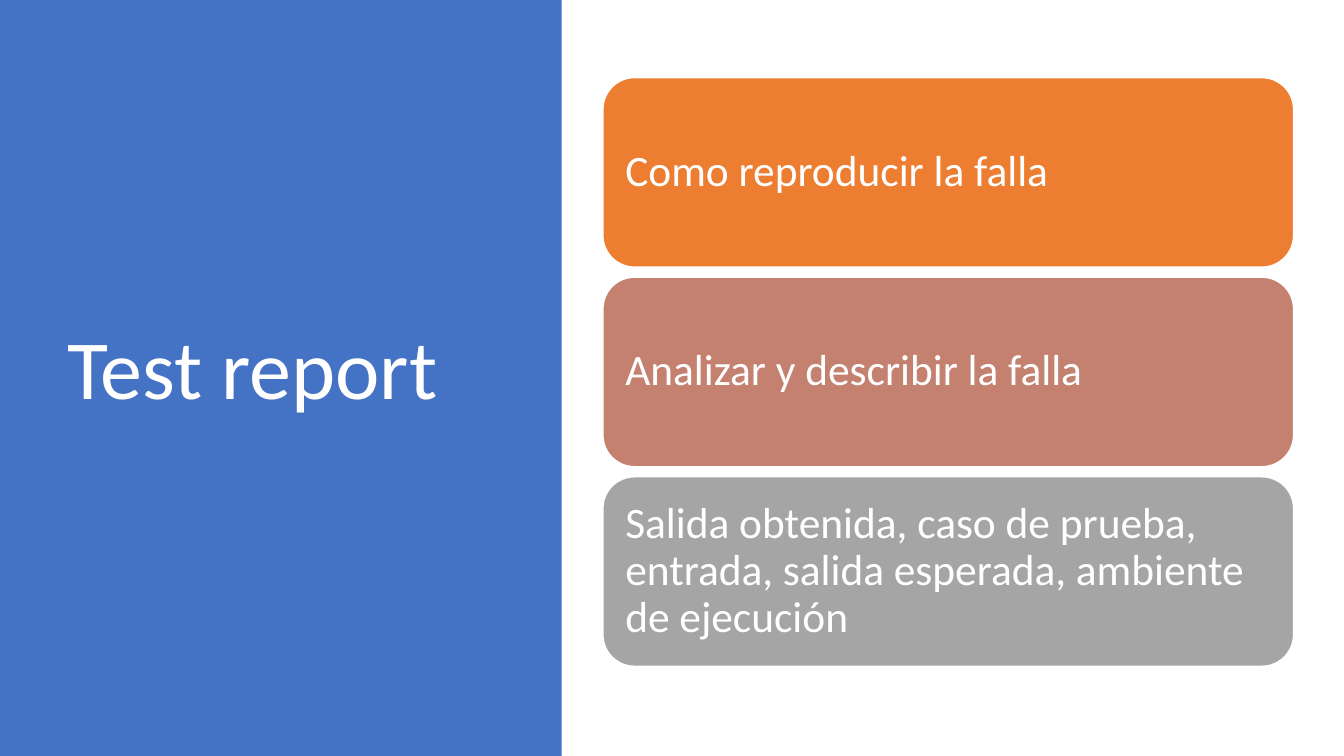
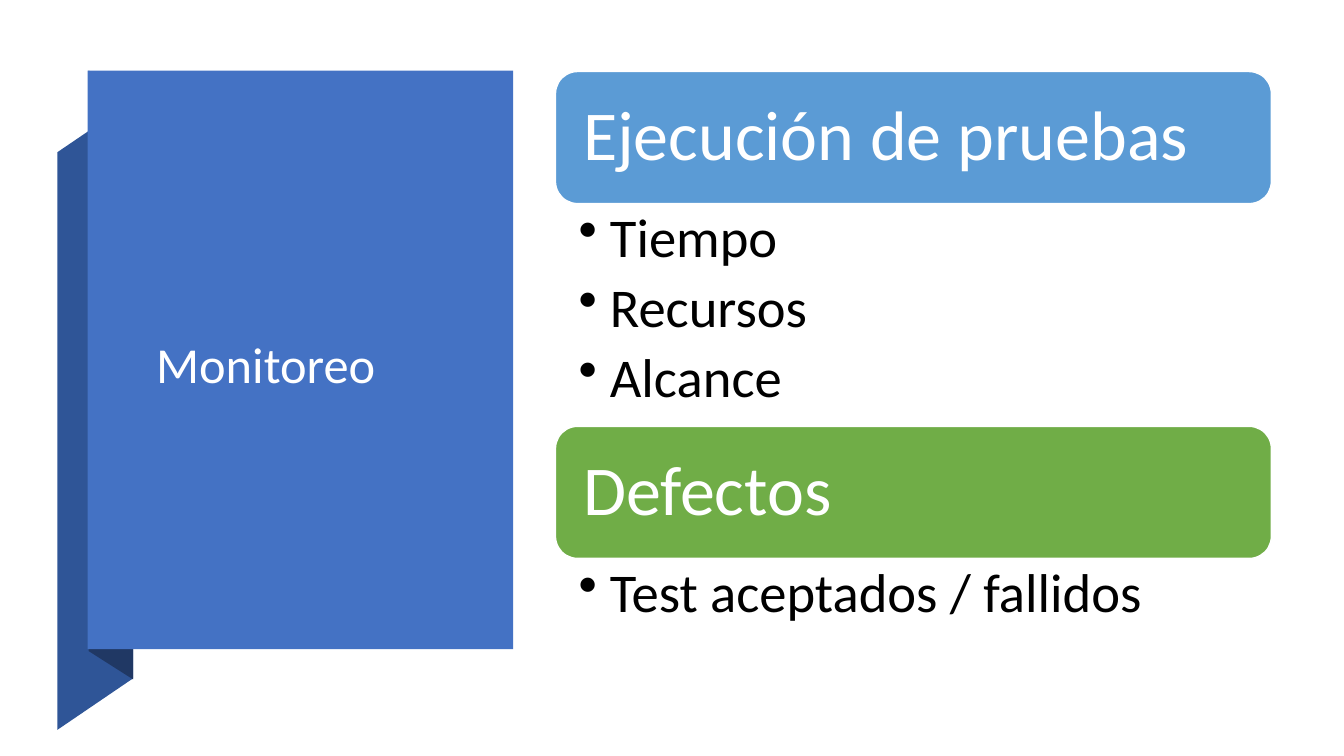
import pptx
import pptx.util
import pptx.dml.color
import pptx.enum.shapes
import pptx.enum.text
import lxml.etree

Inches = pptx.util.Inches
Pt = pptx.util.Pt
SHAPE = pptx.enum.shapes.MSO_SHAPE
ANCHOR = pptx.enum.text.MSO_ANCHOR
ALIGN = pptx.enum.text.PP_ALIGN

HUES = {
    "white": "FFFFFF", "black": "000000", "blue": "4472C4",
    "shade": "2F5597", "navy": "203864", "orange": "ED7D31",
    "rose": "C48170", "gray": "A5A5A5", "sky": "5B9BD5", "green": "70AD47",
}
FONT = "Calibri"

REPORT = [
    ("Como reproducir la falla", "orange"),
    ("Analizar y describir la falla", "rose"),
    ("Salida obtenida, caso de prueba, entrada, salida esperada, "
     "ambiente de ejecución", "gray"),
]
MONITOR = [
    ("Ejecución de pruebas", "sky", ["Tiempo", "Recursos", "Alcance"], 2.21),
    ("Defectos", "green", ["Test aceptados / fallidos"], 0.91),
]
FOLDS = [
    ("shade", [(0.57, 7.24), (1.32, 6.73), (1.32, 1), (0.57, 1.51)]),
    ("navy", [(0.88, 6.46), (1.32, 6.74), (1.32, 0.99), (0.88, 0.7)]),
]


def color(name):
    return pptx.dml.color.RGBColor.from_string(HUES[name])


def paint(shape, fill, line=None):
    shape.shadow.inherit = False
    shape.fill.solid()
    shape.fill.fore_color.rgb = color(fill)
    if line:
        shape.line.color.rgb = color(line)
        shape.line.width = Pt(1)
    else:
        shape.line.fill.background()


def write(shape, lines, size, hue, pads, after=0, anchor=ANCHOR.MIDDLE):
    frame = shape.text_frame
    frame.word_wrap = True
    frame.vertical_anchor = anchor
    (frame.margin_left, frame.margin_top,
     frame.margin_right, frame.margin_bottom) = [Inches(pad) for pad in pads]
    frame.text = "\n".join(lines)
    for para in frame.paragraphs:
        para.alignment = ALIGN.LEFT
        para.line_spacing = 0.9
        para.space_after = Pt(after)
        for run in para.runs:
            run.font.name = FONT
            run.font.size = Pt(size)
            run.font.color.rgb = color(hue)


def block(slide, kind, box, fill, line=None):
    shape = slide.shapes.add_shape(kind, *[Inches(side) for side in box])
    paint(shape, fill, line)
    return shape


def title(slide, text, box, size):
    shape = slide.shapes.add_textbox(*[Inches(side) for side in box])
    write(shape, [text], size, "white", (0.1, 0.05, 0.1, 0.05))


def card(slide, text, box, fill, size, pad):
    shape = block(slide, SHAPE.ROUNDED_RECTANGLE, box, fill, "white")
    write(shape, [text], size, "white", [pad] * 4)


def points(slide, lines, box):
    shape = slide.shapes.add_textbox(*[Inches(side) for side in box])
    write(shape, lines, 39, "black", (0.23, 0.07, 0.39, 0.07), 7.8, ANCHOR.TOP)
    for para in shape.text_frame.paragraphs:
        props = para._p.get_or_add_pPr()
        props.set("marL", str(Inches(0.31)))
        props.set("indent", str(-Inches(0.31)))
        mark = lxml.etree.SubElement(props, pptx.oxml.ns.qn("a:buChar"))
        mark.set("char", "•")


def fold(slide, fill, spots):
    spots = [(Inches(x), Inches(y)) for x, y in spots]
    path = slide.shapes.build_freeform(*spots[0], scale=1.0)
    path.add_line_segments(spots[1:], close=True)
    paint(path.convert_to_shape(), fill)


def report(slide):
    block(slide, SHAPE.RECTANGLE, (0, 0, 5.57, 7.5), "blue")
    title(slide, "Test report", (0.57, 0.68, 4.16, 6.02), 60)
    tall, gap = 1.88, 0.1
    for row, (text, fill) in enumerate(REPORT):
        top = 0.77 + row * (tall + gap)
        card(slide, text, (5.98, top, 6.85, tall), fill, 31, 0.13)


def monitor(slide):
    for fill, spots in FOLDS:
        fold(slide, fill, spots)
    block(slide, SHAPE.RECTANGLE, (0.87, 0.7, 4.22, 5.74), "blue")
    title(slide, "Monitoreo", (1.45, 1.67, 3.01, 3.94), 36)
    left, top, wide, tall = 5.51, 0.71, 7.1, 1.31
    for text, fill, lines, depth in MONITOR:
        card(slide, text, (left, top, wide, tall), fill, 50, 0.21)
        points(slide, lines, (left, top + tall, wide, depth))
        top += tall + depth


def main():
    deck = pptx.Presentation()
    deck.slide_width = Inches(13.33)
    deck.slide_height = Inches(7.5)
    for draw in (report, monitor):
        draw(deck.slides.add_slide(deck.slide_layouts[6]))
    deck.save("out.pptx")


if __name__ == "__main__":
    main()
